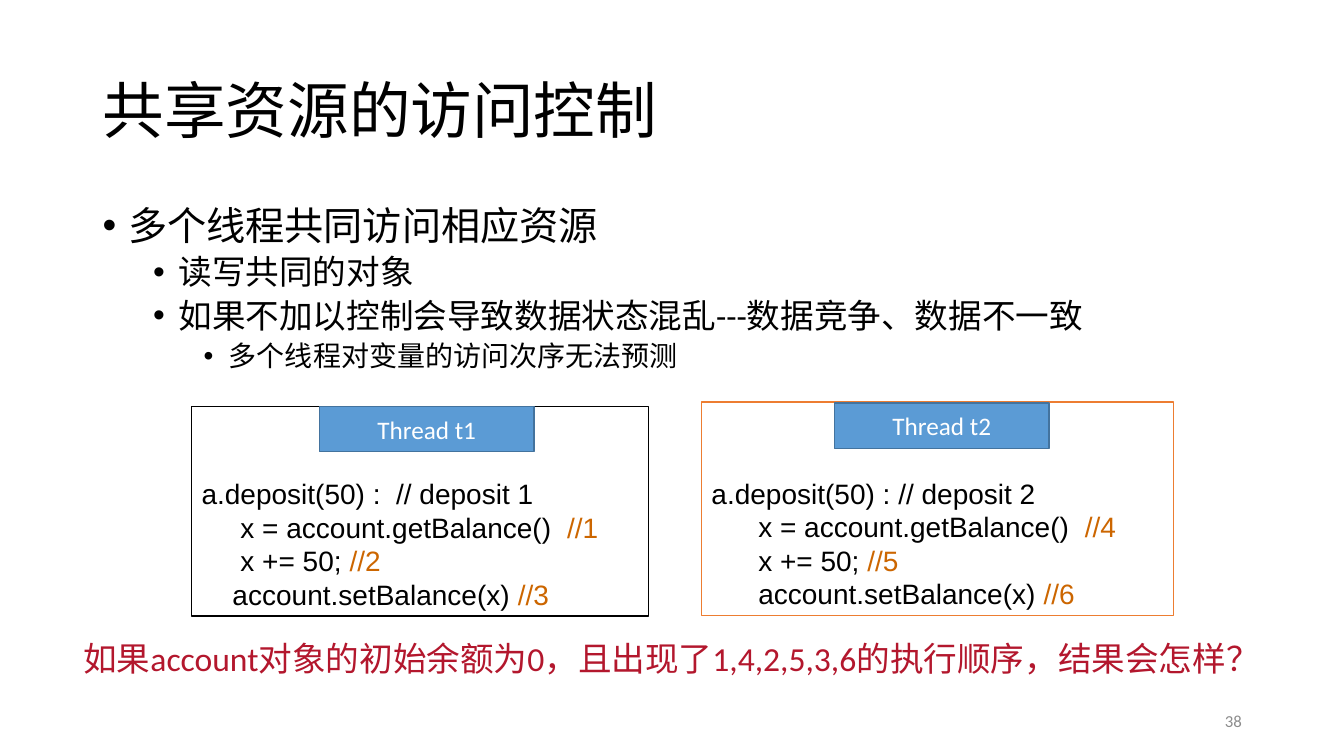
import pptx
import pptx.dml.color
import pptx.enum.shapes
import pptx.enum.text
import pptx.util
from dataclasses import dataclass
from lxml import etree
from pptx.util import Cm, Pt

ALIGN = pptx.enum.text.PP_ALIGN
ANCHOR = pptx.enum.text.MSO_ANCHOR


@dataclass(frozen=True)
class Theme:
    text_font: str = "Calibri"
    code_font: str = "Arial"
    black: str = "000000"
    white: str = "FFFFFF"
    blue: str = "5B9BD5"
    dark_blue: str = "43739E"
    orange: str = "ED7D31"
    comment: str = "CC6600"
    red: str = "B3172D"
    grey: str = "8C8C8C"
    title_size: int = 44
    bullet_sizes: tuple = (28, 24, 20)
    code_size: int = 20
    tag_size: int = 18
    question_size: int = 24
    number_size: int = 12


THEME = Theme()

BULLETS = [
    (0, "多个线程共同访问相应资源"),
    (1, "读写共同的对象"),
    (1, "如果不加以控制会导致数据状态混乱---数据竞争、数据不一致"),
    (2, "多个线程对变量的访问次序无法预测"),
]

# Each thread: box, border colour, tag position, tag text, code lines (indent in cm, code, step)
THREADS = [
    ((17.68, 10.13, 11.89, 5.38), THEME.orange, (21.03, 10.16), "Thread t2", [
        (0, "a.deposit(50) : // deposit 2", ""),
        (1.18, "x = account.getBalance()  ", "//4"),
        (1.18, "x += 50; ", "//5"),
        (1.18, "account.setBalance(x) ", "//6"),
    ]),
    ((4.83, 10.24, 11.51, 5.28), THEME.black, (8.05, 10.24), "Thread t1", [
        (0, "a.deposit(50) :  // deposit 1", ""),
        (0.98, "x = account.getBalance()  ", "//1"),
        (0.98, "x += 50; ", "//2"),
        (0.78, "account.setBalance(x) ", "//3"),
    ]),
]
TAG_SIZE = (5.41, 1.14)


def rgb(color):
    return pptx.dml.color.RGBColor.from_string(color)


def set_font(font, name, size, color):
    font.name = name
    font.size = Pt(size)
    font.color.rgb = rgb(color)


def set_indent(paragraph, left, first=0):
    properties = paragraph._p.get_or_add_pPr()
    properties.set("marL", str(Cm(left)))
    properties.set("indent", str(Cm(first)))
    return properties


def add_text(slide, box, text, size, color, anchor=ANCHOR.TOP, align=ALIGN.LEFT):
    frame = slide.shapes.add_textbox(*map(Cm, box)).text_frame
    frame.word_wrap = True
    frame.vertical_anchor = anchor
    line = frame.paragraphs[0]
    line.text = text
    line.alignment = align
    set_font(line.font, THEME.text_font, size, color)
    return line


def add_bullets(slide, box, bullets):
    frame = slide.shapes.add_textbox(*map(Cm, box)).text_frame
    frame.word_wrap = True
    for index, (level, text) in enumerate(bullets):
        item = frame.add_paragraph() if index else frame.paragraphs[0]
        item.text = text
        item.level = level
        item.line_spacing = 0.9
        item.space_before = Pt(5 if level else 10)
        set_font(item.font, THEME.text_font, THEME.bullet_sizes[level], THEME.black)
        properties = set_indent(item, 0.64 + 1.27 * level, -0.64)
        namespace = properties.nsmap["a"]
        bullet_font = etree.Element(f"{{{namespace}}}buFont", typeface="Arial")
        bullet = etree.Element(f"{{{namespace}}}buChar", char="•")
        position = properties.index(properties.find(f"{{{namespace}}}defRPr"))
        properties.insert(position, bullet_font)
        properties.insert(position + 1, bullet)


def add_box(slide, box, border, fill=None):
    shape = slide.shapes.add_shape(
        pptx.enum.shapes.MSO_SHAPE.RECTANGLE, *map(Cm, box))
    shape.shadow.inherit = False
    shape.line.color.rgb = rgb(border)
    shape.line.width = Pt(1)
    if fill:
        shape.fill.solid()
        shape.fill.fore_color.rgb = rgb(fill)
    else:
        shape.fill.background()
    return shape


def add_code(slide, box, border, code_lines):
    frame = add_box(slide, box, border).text_frame
    frame.word_wrap = True
    frame.vertical_anchor = ANCHOR.BOTTOM
    for index, (indent, code, step) in enumerate(code_lines):
        line = frame.add_paragraph() if index else frame.paragraphs[0]
        line.alignment = ALIGN.LEFT
        set_indent(line, indent)
        set_font(line.font, THEME.code_font, THEME.code_size, THEME.black)
        line.add_run().text = code
        if step:
            mark = line.add_run()
            mark.text = step
            mark.font.color.rgb = rgb(THEME.comment)


def add_tag(slide, position, text):
    tag = add_box(slide, position + TAG_SIZE, THEME.dark_blue, THEME.blue)
    tag.text_frame.vertical_anchor = ANCHOR.MIDDLE
    label = tag.text_frame.paragraphs[0]
    label.text = text
    label.alignment = ALIGN.CENTER
    set_font(label.font, THEME.text_font, THEME.tag_size, THEME.white)


def main():
    deck = pptx.Presentation()
    deck.slide_width, deck.slide_height = Cm(33.87), Cm(19.05)
    slide = deck.slides.add_slide(deck.slide_layouts[6])

    # Title and bullets
    title = add_text(slide, (2.34, 1.02, 29.21, 3.68), "共享资源的访问控制",
                     THEME.title_size, THEME.black, ANCHOR.MIDDLE)
    title.line_spacing = 0.9
    add_bullets(slide, (2.34, 5.08, 29.21, 4.72), BULLETS)

    # Code of the two threads
    for box, border, tag_position, tag_text, code_lines in THREADS:
        add_code(slide, box, border, code_lines)
        add_tag(slide, tag_position, tag_text)

    # Closing question and page number
    add_text(slide, (1.85, 15.95, 30.43, 1.27),
             "如果account对象的初始余额为0，且出现了1,4,2,5,3,6的执行顺序，结果会怎样？",
             THEME.question_size, THEME.red)
    add_text(slide, (23.93, 17.65, 7.62, 1.02), "38",
             THEME.number_size, THEME.grey, ANCHOR.MIDDLE, ALIGN.RIGHT)

    deck.save("out.pptx")


if __name__ == "__main__":
    main()
